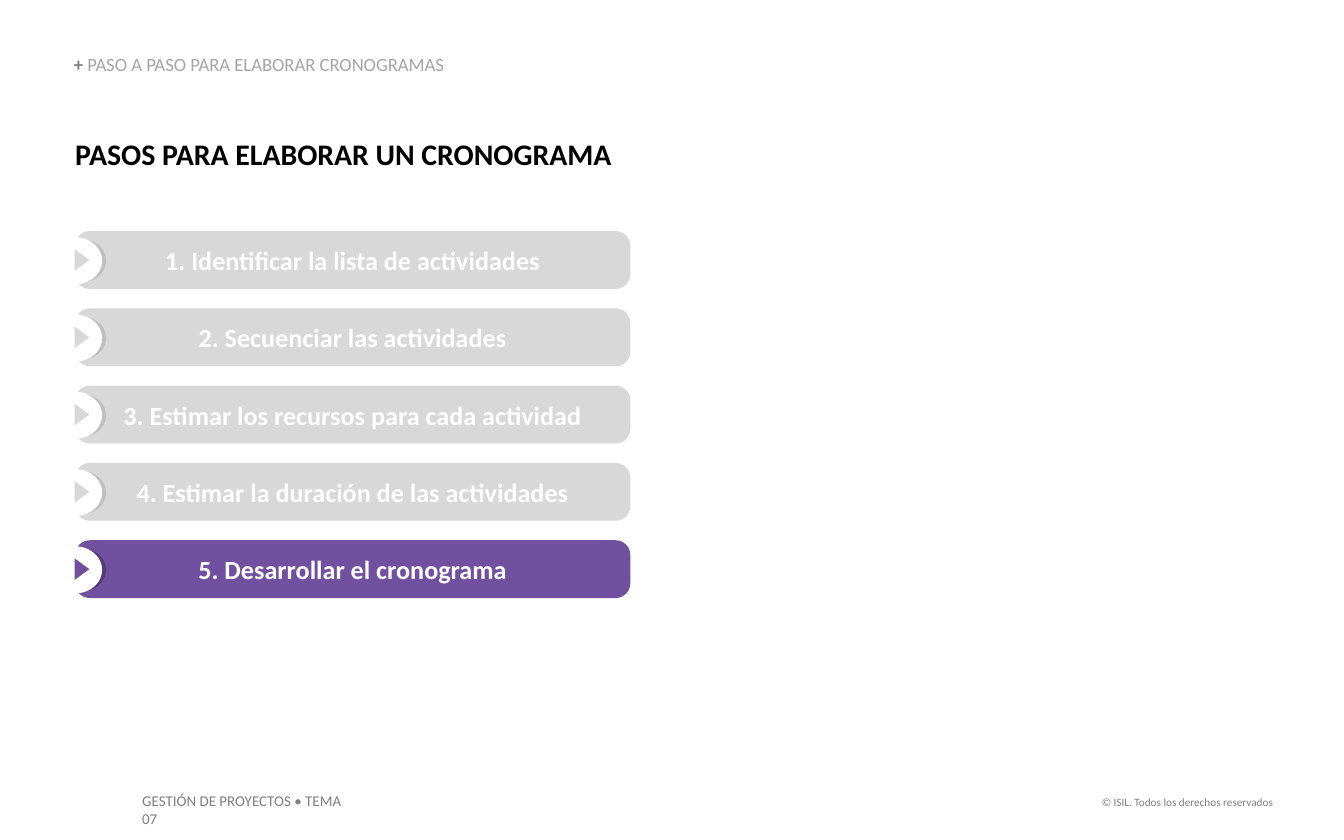
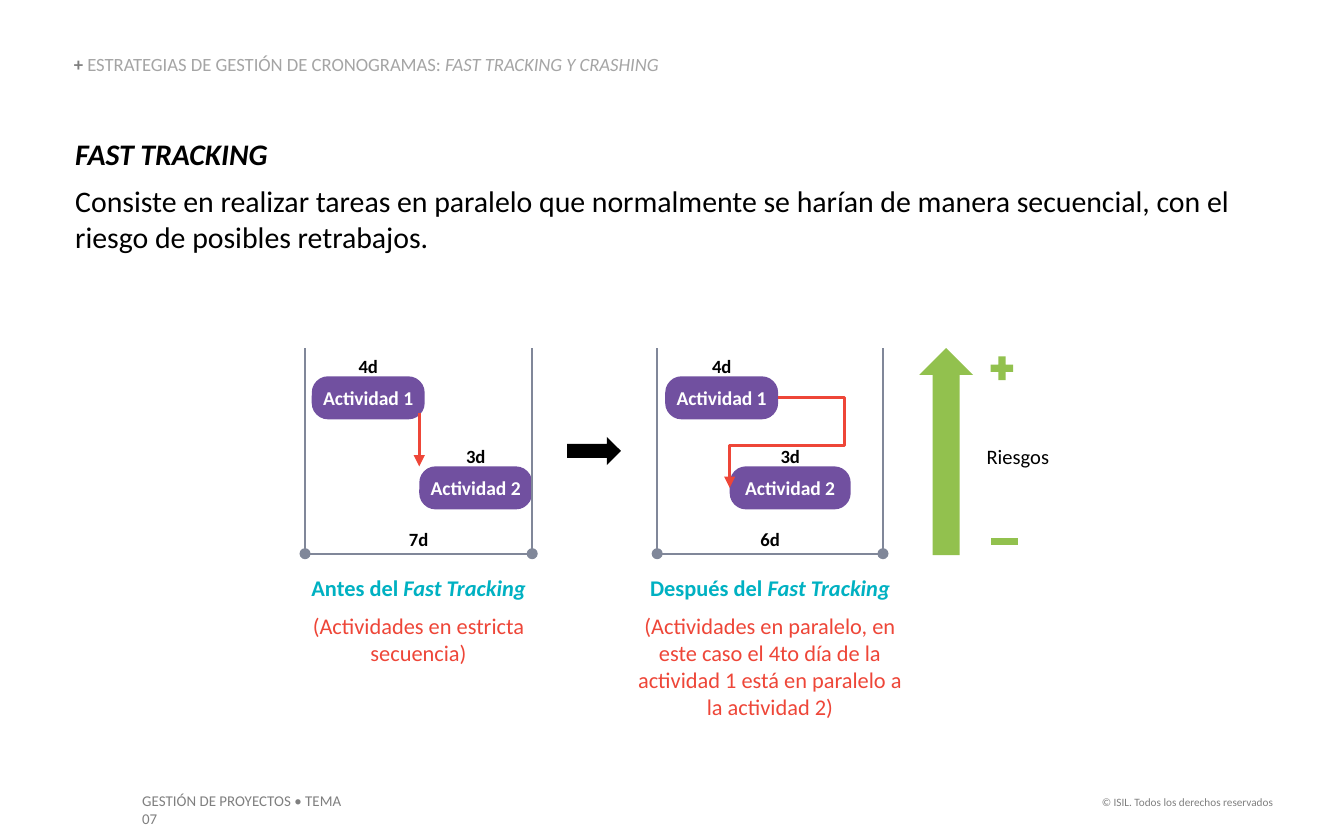
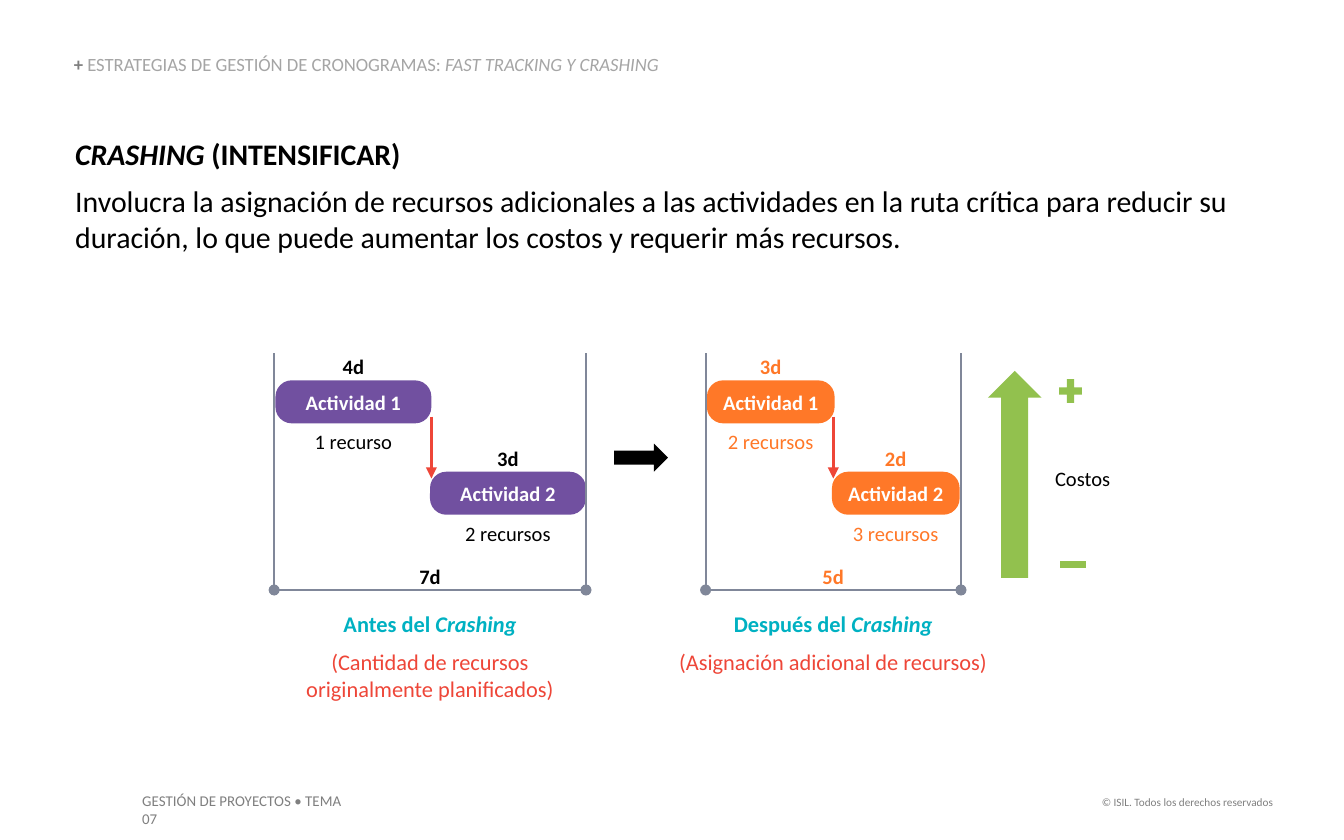
import dataclasses

import pptx
import pptx.dml.color
import pptx.enum.shapes
import pptx.enum.text
import pptx.oxml.ns
import pptx.util

KIND = pptx.enum.shapes.MSO_SHAPE
LINK = pptx.enum.shapes.MSO_CONNECTOR
ALIGN = pptx.enum.text.PP_ALIGN
ANCHOR = pptx.enum.text.MSO_ANCHOR
qn = pptx.oxml.ns.qn

WIDE, HIGH = pptx.util.Inches(10), pptx.util.Inches(6.25)
COLS = 100  # square cells: 100 columns by 62.5 rows


@dataclasses.dataclass(frozen=True)
class Theme:
    font: str = "Calibri"
    black: str = "000000"
    white: str = "FFFFFF"
    text: str = "7F7F7F"
    mute: str = "A5A5A5"
    pale: str = "D8D8D8"
    shade: str = "BFBFBF"
    violet: str = "7150A0"
    dusk: str = "553C78"
    orange: str = "FF7828"
    green: str = "92C14E"
    teal: str = "00B1C2"
    red: str = "EE4638"
    rule: str = "808799"
    legal: float = 6
    foot: float = 8
    head: float = 10
    task: float = 10.5
    label: float = 11
    note: float = 12
    step: float = 14
    title: float = 16


T = Theme()


@dataclasses.dataclass(frozen=True)
class Box:
    x: float
    y: float
    w: float
    h: float

    def inner(self, x, y, w, h):
        """Box placed in cells from this box's top left corner."""
        return Box(self.x + x, self.y + y, w, h)

    def emu(self):
        return [cell(v) for v in (self.x, self.y, self.w, self.h)]


@dataclasses.dataclass(frozen=True)
class Task:
    name: str
    days: str
    x: float
    y: float
    w: float
    staff: str = ""


def cell(count):
    return round(count * WIDE / COLS)


def rgb(code):
    return pptx.dml.color.RGBColor.from_string(code)


def say(frame, text, size=T.label, color=T.black, bold=False, italic=False,
        align=ALIGN.LEFT, new=False, before=0, lead=None):
    """Add one run to the last paragraph, or to a new one."""
    para = frame.add_paragraph() if new else frame.paragraphs[-1]
    para.alignment = align
    para.space_before = pptx.util.Pt(before)
    if lead:
        para.line_spacing = lead
    run = para.add_run()
    run.text = text
    font = run.font
    font.name, font.size = T.font, pptx.util.Pt(size)
    font.bold, font.italic = bold, italic
    font.color.rgb = rgb(color)


def setup(shape, anchor=ANCHOR.TOP, pad=(0, 0, 0, 0)):
    frame = shape.text_frame
    frame.word_wrap = True
    frame.auto_size = pptx.enum.text.MSO_AUTO_SIZE.NONE
    frame.vertical_anchor = anchor
    (frame.margin_left, frame.margin_top,
     frame.margin_right, frame.margin_bottom) = map(cell, pad)
    return frame


def area(shapes, box, **fmt):
    return setup(shapes.add_textbox(*box.emu()), **fmt)


def draw(shapes, kind, box, fill, adjust=None, turn=0):
    shape = shapes.add_shape(kind, *box.emu())
    shape.shadow.inherit = False
    shape.fill.solid()
    shape.fill.fore_color.rgb = rgb(fill)
    shape.line.fill.background()
    shape.rotation = turn
    if adjust is not None:
        shape.adjustments[0] = adjust
    return shape


def join(shapes, start, end, color, width, head=None, tail=None, bends=None):
    """Connector; bends holds the three adjustments of a five-part elbow."""
    kind = LINK.ELBOW if bends else LINK.STRAIGHT
    line = shapes.add_connector(kind, *map(cell, start + end))
    line.line.color.rgb = rgb(color)
    line.line.width = pptx.util.Pt(width)
    props = line.element.spPr
    pen = props.find(qn("a:ln"))
    for tag, mark in (("a:headEnd", head), ("a:tailEnd", tail)):
        if mark:
            pen.append(pen.makeelement(qn(tag), {"type": mark}))
    props.append(props.makeelement(qn("a:effectLst"), {}))
    if bends:
        form = props.find(qn("a:prstGeom"))
        form.set("prst", "bentConnector5")
        guides = form.find(qn("a:avLst"))
        for i, bend in enumerate(bends, 1):
            guides.append(guides.makeelement(
                qn("a:gd"), {"name": f"adj{i}", "fmla": f"val {round(bend * 100000)}"}))


def page(deck, layout, topic, title, work="", body=""):
    """Slide with heading, title, footers and, if given, body text.

    Title is a list of (text, italic); work ends the heading in italics.
    """
    slide = deck.slides.add_slide(deck.slide_layouts[layout])
    name = slide.shapes.title
    name.left, name.top, name.width, name.height = Box(5.6, 10.1, 80.5, 2.7).emu()
    frame = setup(name)
    for text, slant in title:
        say(frame, text, size=T.title, bold=True, italic=slant)
    if body:
        plain(slide.placeholders[1], Box(5.6, 13.6, 89.3, 5.4), body)
    frame = area(slide.shapes, Box(5.5, 4.1, 49.4, 1.5), anchor=ANCHOR.BOTTOM)
    say(frame, "+ ", size=T.head, color=T.text, bold=True, lead=0.9)
    say(frame, topic, size=T.head, color=T.mute, lead=0.9)
    if work:
        say(frame, work, size=T.head, color=T.mute, italic=True, lead=0.9)
    footer(slide.shapes)
    return slide.shapes


def plain(holder, box, text):
    """Fill a body placeholder with one unbulleted paragraph."""
    holder.left, holder.top, holder.width, holder.height = box.emu()
    frame = setup(holder)
    props = frame.paragraphs[0]._p.get_or_add_pPr()
    props.set("marL", "0")
    props.set("indent", "0")
    props.append(props.makeelement(qn("a:buNone"), {}))
    say(frame, text, size=T.title)


def footer(shapes):
    say(area(shapes, Box(79.1, 58.7, 16.6, 2), pad=(1, 0.5, 1, 0.5)),
        "© ISIL. Todos los derechos reservados",
        size=T.legal, color=T.text, align=ALIGN.RIGHT)
    say(area(shapes, Box(9.6, 58.4, 19, 2.4), pad=(1, 0.5, 2.5, 0.5)),
        "GESTIÓN DE PROYECTOS • TEMA 07", size=T.foot, color=T.text)


def step(shapes, box, text, active):
    group = shapes.add_group_shape().shapes
    fill, edge = (T.violet, T.dusk) if active else (T.pale, T.shade)
    bar = draw(group, KIND.ROUNDED_RECTANGLE, box, fill, adjust=0.25)
    say(setup(bar, anchor=ANCHOR.MIDDLE, pad=(1, 0.5, 1, 0.5)), text,
        size=T.step, color=T.white, bold=True, align=ALIGN.CENTER)
    draw(group, KIND.OVAL, box.inner(-1.4, 0.6, 3.7, 3.2), edge)
    draw(group, KIND.OVAL, box.inner(-2, 0.45, 4, 3.5), T.white)
    draw(group, KIND.ISOSCELES_TRIANGLE, box.inner(-0.3, 1.6, 1.6, 1.1), fill, turn=90)


def plan(shapes, box, tasks, total, link, bends=None, size=T.label,
         name=T.label, lift=1.95, fill=T.violet, ink=T.black):
    """Time frame with its tasks, their link and the total length."""
    group = shapes.add_group_shape().shapes

    def tag(text, mid, y, wide=4, bold=True):
        say(area(group, box.inner(mid - wide / 2, y, wide, 1.8)), text,
            size=size, color=ink, bold=bold, align=ALIGN.CENTER)

    for task in tasks:
        mid = task.x + task.w / 2
        bar = draw(group, KIND.ROUNDED_RECTANGLE,
                   box.inner(task.x, task.y, task.w, 3.2), fill, adjust=0.38)
        say(setup(bar, anchor=ANCHOR.MIDDLE), task.name, size=name,
            color=T.white, bold=True, align=ALIGN.CENTER)
        tag(task.days, mid, task.y - lift)
        if task.staff:
            tag(task.staff, mid, task.y + 3.65, wide=9, bold=False)
    tag(total, box.w / 2, box.h - 1.95)

    left, right, base = box.x, box.x + box.w, box.y + box.h
    join(group, (right, base), (left, base), T.rule, 1)
    for x in (right, left):
        join(group, (x, base), (x, box.y), T.rule, 1, head="oval")
    start, end = [(box.x + x, box.y + y) for x, y in link]
    join(group, start, end, T.red, 1.5, tail="triangle", bends=bends)


def caption(shapes, box, when, method, note, wide=20.3):
    """Two paragraphs centred under a time frame."""
    frame = area(shapes, box.inner((box.w - wide) / 2, box.h + 1.5, wide, 6.9))
    look = dict(size=T.note, align=ALIGN.CENTER)
    say(frame, when, color=T.teal, bold=True, **look)
    say(frame, method, color=T.teal, bold=True, italic=True, **look)
    say(frame, note, color=T.red, new=True, before=6, **look)


def gauge(shapes, box, text):
    group = shapes.add_group_shape().shapes
    draw(group, KIND.UP_ARROW, box.inner(0, 0, 4, box.h), T.green)
    draw(group, KIND.MATH_PLUS, box.inner(5, 0.3, 2.3, 2.4), T.green, adjust=0.235)
    draw(group, KIND.MATH_MINUS, box.inner(5, box.h - 2, 2.7, 2), T.green, adjust=0.235)
    say(area(group, box.inner(5, 7.1, 5.5, 1.9)), text)


def steps(deck):
    shapes = page(deck, 5, "PASO A PASO PARA ELABORAR CRONOGRAMAS",
                  [("PASOS PARA ELABORAR UN CRONOGRAMA", False)])
    names = ["Identificar la lista de actividades", "Secuenciar las actividades",
             "Estimar los recursos para cada actividad",
             "Estimar la duración de las actividades", "Desarrollar el cronograma"]
    first = Box(5.6, 17.2, 41.3, 4.3)
    for i, name in enumerate(names):
        step(shapes, first.inner(0, 5.75 * i, first.w, first.h),
             f"{i + 1}. {name}", active=i == len(names) - 1)


TOPIC = "ESTRATEGIAS DE GESTIÓN DE CRONOGRAMAS: "
WORK = "FAST TRACKING Y CRASHING"
ONE, TWO = "Actividad 1", "Actividad 2"


def fast(deck):
    shapes = page(
        deck, 1, TOPIC, [("FAST TRACKING", True)], WORK,
        "Consiste en realizar tareas en paralelo que normalmente se harían de "
        "manera secuencial, con el riesgo de posibles retrabajos.")
    prior, later = Box(22.7, 25.9, 16.9, 15.3), Box(48.9, 25.9, 16.8, 15.3)
    look = dict(size=T.head, name=T.task, lift=1.6)
    plan(shapes, prior, [Task(ONE, "4d", 0.5, 2.1, 8.4), Task(TWO, "3d", 8.5, 8.8, 8.4)],
         "7d", [(8.5, 4.8), (8.5, 8.8)], **look)
    plan(shapes, later, [Task(ONE, "4d", 0.6, 2.1, 8.4), Task(TWO, "3d", 5.4, 8.8, 9)],
         "6d", [(9, 3.7), (5.4, 10.4)], bends=(-1.38, 0.53, 1), **look)
    draw(shapes, KIND.RIGHT_ARROW, Box(42.2, 32.5, 4, 2.1), T.black)
    caption(shapes, prior, "Antes del ", "Fast Tracking",
            "(Actividades en estricta secuencia)")
    caption(shapes, later, "Después del ", "Fast Tracking",
            "(Actividades en paralelo, en este caso el 4to día de la "
            "actividad 1 está en paralelo a la actividad 2)")
    gauge(shapes, Box(68.4, 25.9, 10.5, 15.4), "Riesgos")


def crash(deck):
    shapes = page(
        deck, 1, TOPIC, [("CRASHING", True), (" (INTENSIFICAR)", False)], WORK,
        "Involucra la asignación de recursos adicionales a las actividades en la "
        "ruta crítica para reducir su duración, lo que puede aumentar los costos "
        "y requerir más recursos.")
    prior, later = Box(20.4, 26.3, 23.2, 17.6), Box(52.5, 26.3, 19, 17.6)
    plan(shapes, prior, [Task(ONE, "4d", 0.1, 2, 11.6, "1 recurso"),
                         Task(TWO, "3d", 11.6, 8.8, 11.6, "2 recursos")],
         "7d", [(11.7, 4.7), (11.7, 9.3)])
    plan(shapes, later, [Task(ONE, "3d", 0.1, 2, 9.5, "2 recursos"),
                         Task(TWO, "2d", 9.4, 8.8, 9.5, "3 recursos")],
         "5d", [(9.5, 4.7), (9.5, 9.3)], fill=T.orange, ink=T.orange)
    draw(shapes, KIND.RIGHT_ARROW, Box(45.7, 33, 4, 2.1), T.black)
    caption(shapes, prior, "Antes del ", "Crashing",
            "(Cantidad de recursos originalmente planificados)")
    caption(shapes, later, "Después del ", "Crashing",
            "(Asignación adicional de recursos)", wide=23.7)
    gauge(shapes, Box(73.5, 27.6, 10.5, 15.4), "Costos")


def main():
    deck = pptx.Presentation()
    deck.slide_width, deck.slide_height = WIDE, HIGH
    for build in (steps, fast, crash):
        build(deck)
    deck.save("out.pptx")


if __name__ == "__main__":
    main()
